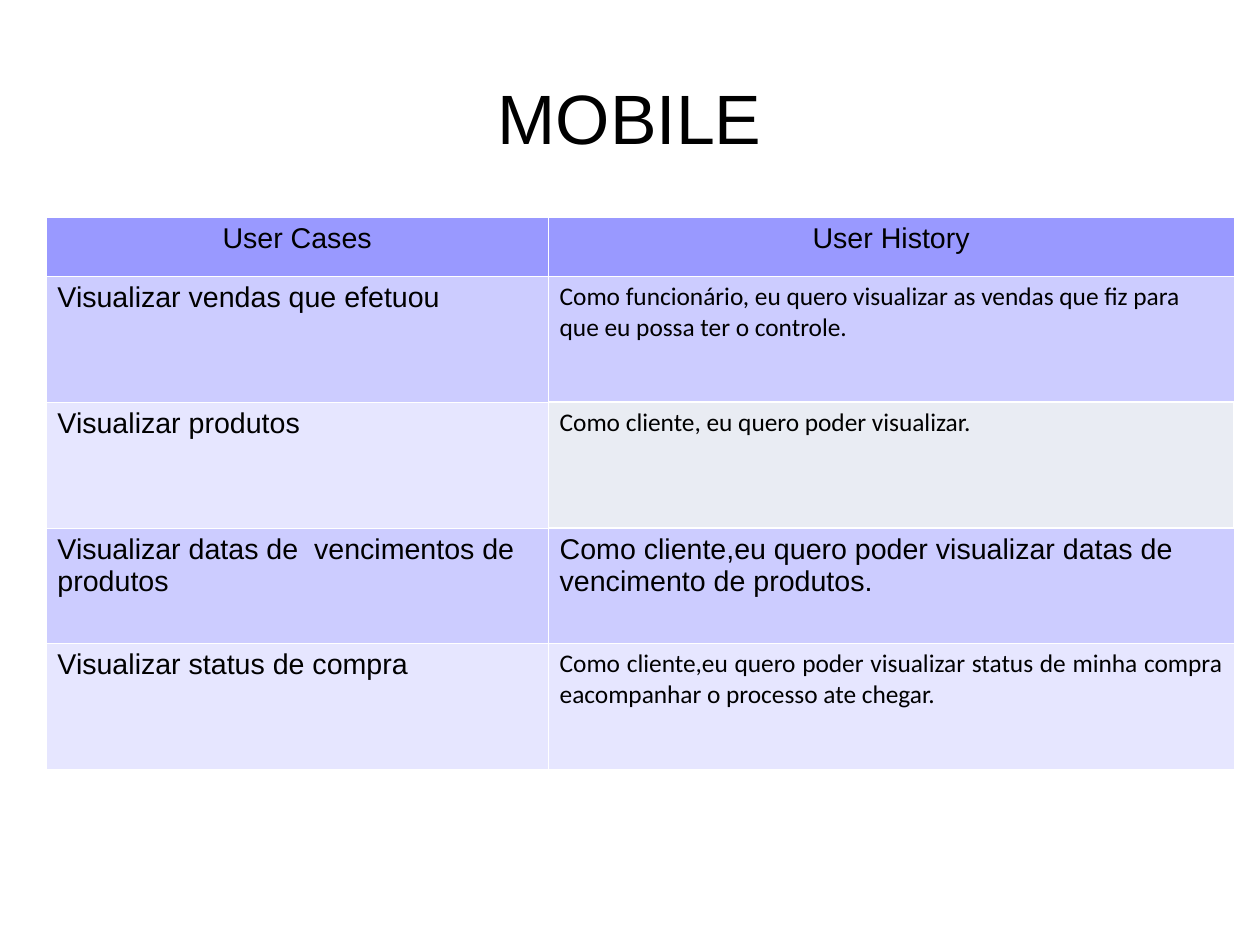
from lxml import etree
from pptx import Presentation
from pptx import util as u
from pptx.dml.color import RGBColor
from pptx.enum import text
from pptx.oxml import ns

BLACK = RGBColor(0x00, 0x00, 0x00)
HEADER = RGBColor(0x99, 0x99, 0xFF)
LILAC = RGBColor(0xCC, 0xCC, 0xFF)
PALE_LILAC = RGBColor(0xE6, 0xE6, 0xFF)
PALE_GREY = RGBColor(0xE9, 0xEC, 0xF3)
WHITE = RGBColor(0xFF, 0xFF, 0xFF)

LEFT, CENTER, JUSTIFY = text.PP_ALIGN.LEFT, text.PP_ALIGN.CENTER, text.PP_ALIGN.JUSTIFY
ARIAL, CALIBRI = ("Arial", 18), ("Calibri", 16)
HAIRLINE, THIN = 0.06, 0.96


def format_font(font, name, size):
    font.name = name
    font.size = u.Pt(size)
    font.bold = False
    font.color.rgb = BLACK


def add_borders(cell, width):
    properties = cell._tc.get_or_add_tcPr()
    for side in ("lnL", "lnR", "lnT", "lnB"):
        line = etree.SubElement(properties, ns.qn(f"a:{side}"), w=str(int(u.Pt(width))))
        fill = etree.SubElement(line, ns.qn("a:solidFill"))
        etree.SubElement(fill, ns.qn("a:srgbClr"), val=str(WHITE))


presentation = Presentation()
presentation.slide_width = u.Pt(793.7)
presentation.slide_height = u.Pt(595.28)
slide = presentation.slides.add_slide(presentation.slide_layouts[5])

title = slide.shapes.title
title.left, title.top, title.width, title.height = map(u.Pt, (39.6, 23.76, 714.24, 99.36))
title_frame = title.text_frame
title_frame.text = "MOBILE"
title_frame.vertical_anchor = text.MSO_ANCHOR.MIDDLE
title_frame.margin_left = title_frame.margin_right = 0
title_frame.margin_top = title_frame.margin_bottom = 0
title_frame.paragraphs[0].alignment = CENTER
format_font(title_frame.paragraphs[0].runs[0].font, "Arial", 44)

rows = [
    (37.1, [("User Cases", ARIAL, CENTER, HEADER, HAIRLINE),
            ("User History", ARIAL, CENTER, HEADER, HAIRLINE)]),
    (79.4, [("Visualizar vendas que efetuou", ARIAL, LEFT, LILAC, HAIRLINE),
            ("Como funcionário, eu quero visualizar as vendas que fiz para "
             "que eu possa ter o controle.", CALIBRI, LEFT, LILAC, HAIRLINE)]),
    (79.4, [("Visualizar produtos", ARIAL, LEFT, PALE_LILAC, HAIRLINE),
            ("Como cliente, eu quero poder visualizar.",
             CALIBRI, JUSTIFY, PALE_GREY, THIN)]),
    (72.3, [("Visualizar datas de  vencimentos de produtos", ARIAL, LEFT, LILAC, HAIRLINE),
            ("Como cliente,eu quero poder visualizar datas de vencimento de produtos.",
             ARIAL, LEFT, LILAC, HAIRLINE)]),
    (79.6, [("Visualizar status de compra", ARIAL, LEFT, PALE_LILAC, HAIRLINE),
            ("Como cliente,eu quero poder visualizar status de minha compra "
             "eacompanhar o processo ate chegar.", CALIBRI, JUSTIFY, PALE_LILAC, HAIRLINE)]),
]
column_widths = (316.4, 432)
table_height = sum(height for height, _ in rows)

table = slide.shapes.add_table(len(rows), len(column_widths), u.Pt(29), u.Pt(136.7),
                               u.Pt(sum(column_widths)), u.Pt(table_height)).table
table.first_row = False
table.horz_banding = False
for column, width in zip(table.columns, column_widths):
    column.width = u.Pt(width)

for row, (height, contents) in zip(table.rows, rows):
    row.height = u.Pt(height)
    for cell, (wording, font, alignment, color, border) in zip(row.cells, contents):
        add_borders(cell, border)
        cell.fill.solid()
        cell.fill.fore_color.rgb = color
        cell.margin_left = cell.margin_right = u.Pt(7.2)
        cell.margin_top = cell.margin_bottom = u.Pt(3.6)
        cell.text_frame.text = wording
        paragraph = cell.text_frame.paragraphs[0]
        paragraph.alignment = alignment
        format_font(paragraph.runs[0].font, *font)

presentation.save("out.pptx")
